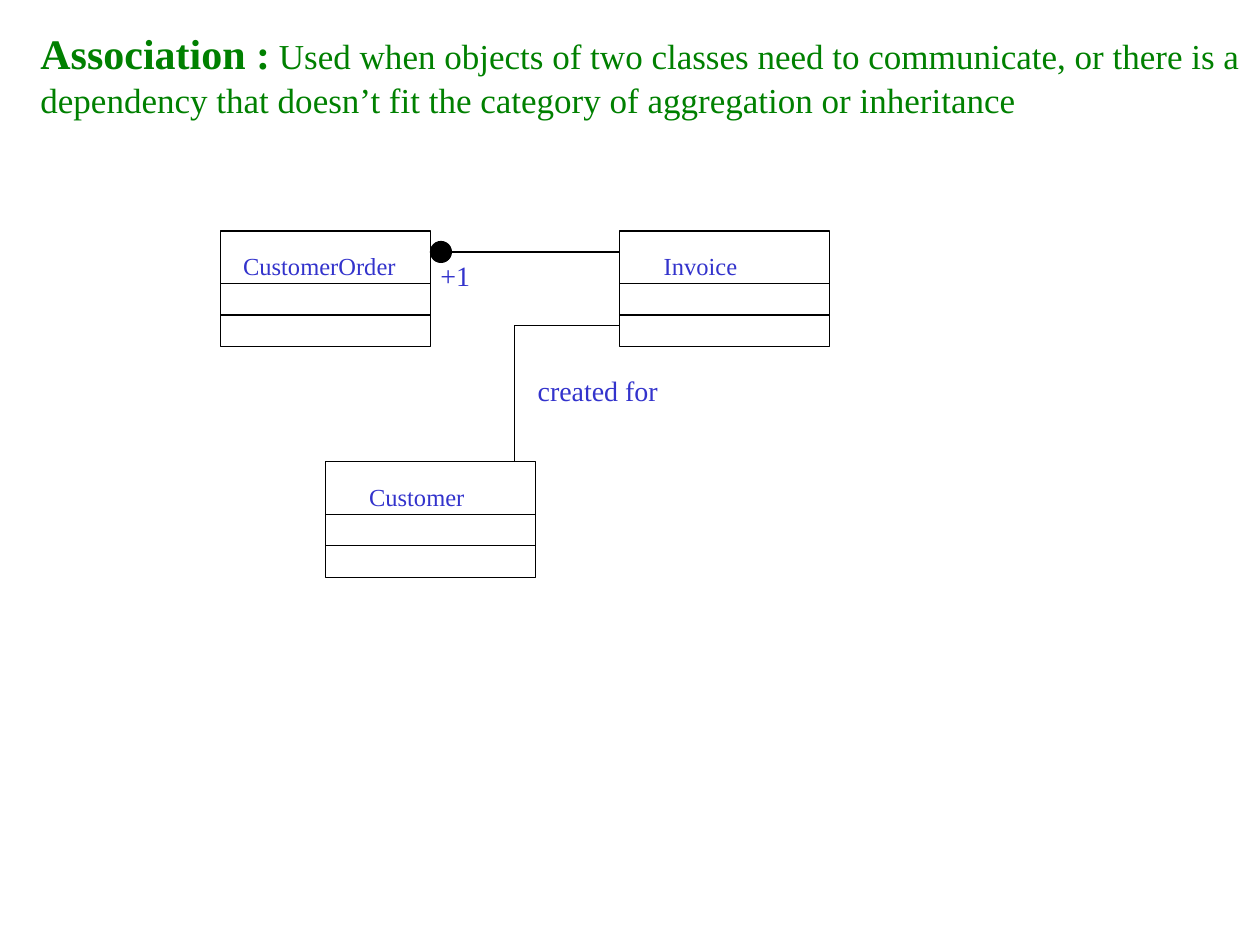
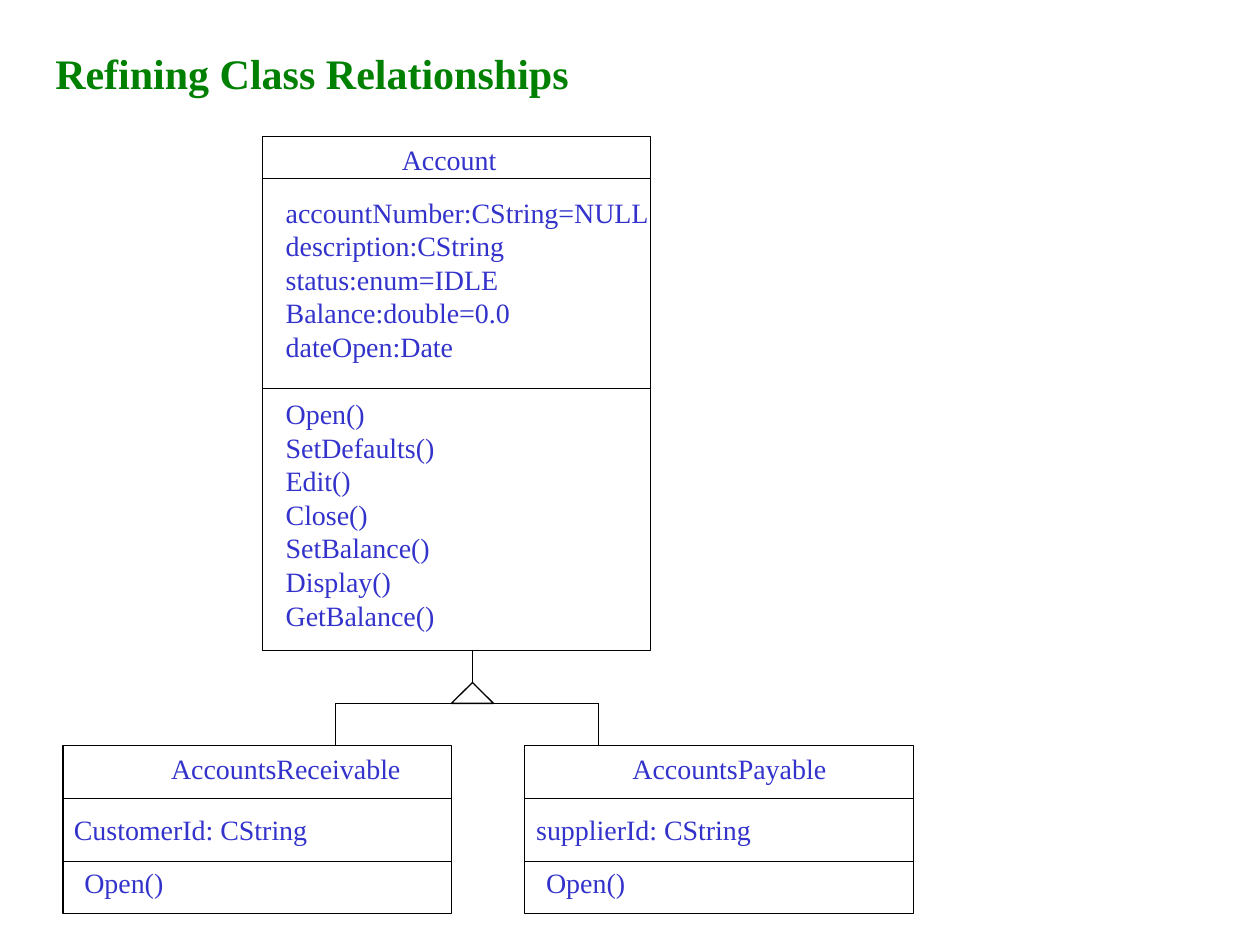
from lxml import etree
from pptx import Presentation
from pptx.dml.color import RGBColor
from pptx.enum.shapes import MSO_CONNECTOR, MSO_SHAPE
from pptx.enum.text import MSO_ANCHOR, MSO_AUTO_SIZE, PP_ALIGN
from pptx.oxml.ns import qn
from pptx.util import Cm, Pt

STRAIGHT = MSO_CONNECTOR.STRAIGHT
RECT, OVAL, TRIANGLE = MSO_SHAPE.RECTANGLE, MSO_SHAPE.OVAL, MSO_SHAPE.ISOSCELES_TRIANGLE
TOP, LEFT, NO_FIT = MSO_ANCHOR.TOP, PP_ALIGN.LEFT, MSO_AUTO_SIZE.NONE

FONT = "Times New Roman"
COLORS = {"title": "008000", "label": "3333CC", "line": "000000", "paper": "FFFFFF"}
RGB = {name: RGBColor.from_string(value) for name, value in COLORS.items()}
LINE_WIDTH = Pt(0.75)


def write(tf, text, size=16, color="label", bold=False, same_line=False):
    """Add a run, in a new paragraph unless it goes on the same line."""
    p = tf.paragraphs[-1]
    if p.runs and not same_line:
        p = tf.add_paragraph()
    if not same_line:
        p.alignment = LEFT
        p.space_before = Pt(0)
        p.line_spacing = Pt(1.2 * size)
    r = p.add_run()
    r.text = text
    r.font.name, r.font.size, r.font.bold = FONT, Pt(size), bold
    r.font.color.rgb = RGB[color]


def draw_line(s, x1, y1, x2, y2):
    line = s.shapes.add_connector(STRAIGHT, Cm(x1), Cm(y1), Cm(x2), Cm(y2))
    line.line.color.rgb = RGB["line"]
    line.line.width = LINE_WIDTH
    etree.SubElement(line._element.spPr, qn("a:effectLst"))


prs = Presentation()
prs.slide_width, prs.slide_height = Cm(25.4), Cm(19.05)

# Slides and titles: position, then lines made of (text, size, bold) runs
titles = [
    ((0.56, 0.43, 24.84, 2.13), [
        [("Association :", 24, True),
         (" Used when objects of two classes need to communicate, or there is a", 20, False)],
        [("dependency that doesn’t fit the category of aggregation or inheritance", 20, False)],
    ]),
    ((0.86, 0.84, 12, 1.27), [[("Refining Class Relationships", 24, True)]]),
]
slides = []
for (x, y, w, h), lines in titles:
    s = prs.slides.add_slide(prs.slide_layouts[5])
    title = s.shapes.title
    title.left, title.top, title.width, title.height = Cm(x), Cm(y), Cm(w), Cm(h)
    tf = title.text_frame
    tf.word_wrap, tf.auto_size, tf.vertical_anchor = True, NO_FIT, TOP
    tf.margin_right = 0
    for runs in lines:
        for i, (text, size, bold) in enumerate(runs):
            write(tf, text, size, "title", bold, same_line=i > 0)
    slides.append(s)
association, refining = slides

# Class boxes, dot and triangle: slide, shape, position, divider offsets
small, large = (4.23, 2.33), (7.83, 3.39)
shapes = [
    (association, RECT, (4.45, 4.66, *small), (1.06, 1.69)),
    (association, RECT, (12.49, 4.66, *small), (1.06, 1.69)),
    (association, RECT, (6.56, 9.31, *small), (1.06, 1.69)),
    (association, OVAL, (8.68, 4.87, 0.42, 0.42), ()),
    (refining, RECT, (5.29, 2.75, 7.83, 10.37), (0.85, 5.08)),
    (refining, RECT, (1.27, 15.03, *large), (1.06, 2.33)),
    (refining, RECT, (10.58, 15.03, *large), (1.06, 2.33)),
    (refining, TRIANGLE, (9.1, 13.76, 0.85, 0.42), ()),
]
for s, kind, (x, y, w, h), dividers in shapes:
    sp = s.shapes.add_shape(kind, Cm(x), Cm(y), Cm(w), Cm(h))
    sp.shadow.inherit = False
    sp.fill.solid()
    sp.fill.fore_color.rgb = RGB["line" if kind == OVAL else "paper"]
    sp.line.color.rgb = RGB["line"]
    sp.line.width = LINE_WIDTH
    for offset in dividers:
        draw_line(s, x, y + offset, x + w, y + offset)

# Relationship lines
relations = [
    (association, 8.89, 5.08, 12.49, 5.08),
    (association, 10.37, 9.31, 10.37, 6.56),
    (association, 10.37, 6.56, 12.49, 6.56),
    (refining, 9.53, 13.76, 9.53, 13.12),
    (refining, 6.77, 14.18, 12.07, 14.18),
    (refining, 6.77, 14.18, 6.77, 15.03),
    (refining, 12.07, 14.18, 12.07, 15.03),
]
for relation in relations:
    draw_line(*relation)

# Class names, members and relationship labels
attributes = ["accountNumber:CString=NULL", "description:CString", "status:enum=IDLE",
              "Balance:double=0.0", "dateOpen:Date"]
operations = ["Open()", "SetDefaults()", "Edit()", "Close()", "SetBalance()",
              "Display()", "GetBalance()"]
labels = [
    (association, (4.65, 4.93, 4, 0.86), 14, ["CustomerOrder"]),
    (association, (13.13, 4.93, 2.4, 0.86), 14, ["Invoice"]),
    (association, (7.19, 9.6, 2.9, 0.86), 14, ["Customer"]),
    (association, (8.63, 5.08, 1.4, 0.94), 16, ["+1"]),
    (association, (10.59, 7.4, 3.4, 0.94), 16, ["created for"]),
    (refining, (7.85, 2.75, 2.9, 0.94), 16, ["Account"]),
    (refining, (5.51, 3.81, 8.1, 3.63), 16, attributes),
    (refining, (5.51, 7.87, 7.85, 4.99), 16, operations),
    (refining, (3.2, 15.03, 5.6, 0.94), 16, ["AccountsReceivable"]),
    (refining, (1.24, 16.26, 5.7, 1.63), 16, ["CustomerId: CString"]),
    (refining, (1.45, 17.32, 2.6, 0.94), 16, ["Open()"]),
    (refining, (12.5, 15.03, 4.9, 0.94), 16, ["AccountsPayable"]),
    (refining, (10.56, 16.26, 5.4, 1.63), 16, ["supplierId: CString"]),
    (refining, (10.76, 17.32, 2.6, 0.94), 16, ["Open()"]),
]
for s, (x, y, w, h), size, lines in labels:
    tf = s.shapes.add_textbox(Cm(x), Cm(y), Cm(w), Cm(h)).text_frame
    tf.word_wrap = True
    for text in lines:
        write(tf, text, size)

prs.save("out.pptx")
